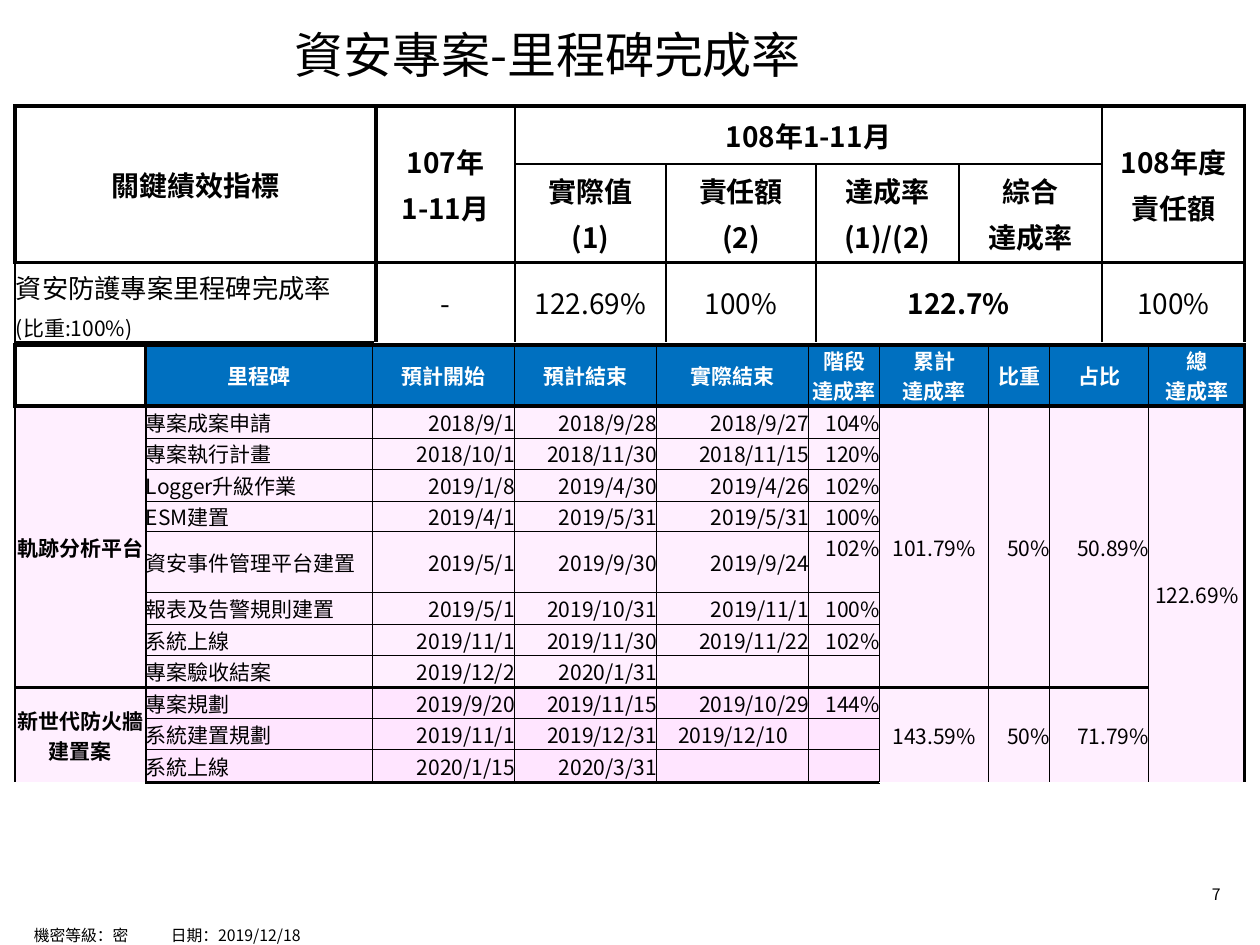
"""Build the security project milestone slide with its KPI and schedule tables."""
from lxml import etree
from pptx import Presentation, util as u
from pptx.dml.color import RGBColor
from pptx.enum import text
from pptx.oxml.ns import qn

PX = 914400 // 126
FONT = "Noto Sans CJK SC"
COLORS = {"ink": "000000", "white": "FFFFFF", "header": "0070C0", "pink": "FFEFFF", "deep": "FFE5FF"}
ALIGN = {"l": text.PP_ALIGN.LEFT, "c": text.PP_ALIGN.CENTER, "r": text.PP_ALIGN.RIGHT}


class SlideBuilder:
    """Hold the type style and the current page."""

    def __init__(self, page):
        self.page = page

    def fill_text(self, frame, lines, size, align="l", bold=False, color="ink", gap=0):
        """Fill a text frame with one paragraph per line."""
        frame.word_wrap = True
        for index, line in enumerate(lines):
            para = frame.add_paragraph() if index else frame.paragraphs[0]
            para.alignment = ALIGN[align]
            if index and gap:
                para.space_before = u.Pt(gap)
            if line:
                span = para.add_run()
                span.text = line
                span.font.size = u.Pt(size)
                span.font.bold = bold
                span.font.color.rgb = RGBColor.from_string(COLORS[color])
                span.font.name = FONT
                etree.SubElement(span._r.get_or_add_rPr(), qn("a:ea"), typeface=FONT)
            etree.SubElement(para._p, qn("a:endParaRPr"), sz=str(size * 100))

    def title(self, line, left, top, width, height):
        """Place and format the title placeholder."""
        box = self.page.shapes.title
        box.left, box.top, box.width, box.height = (n * PX for n in (left, top, width, height))
        box.text_frame.vertical_anchor = text.MSO_ANCHOR.MIDDLE
        self.fill_text(box.text_frame, [line], 28)

    def label(self, line, left, top, width, height, align="l", inset=13):
        """Add a small text box and return its paragraph."""
        box = self.page.shapes.add_textbox(*(n * PX for n in (left, top, width, height)))
        box.text_frame.margin_left = inset * PX
        self.fill_text(box.text_frame, [line], 9, align)
        return box.text_frame.paragraphs[0]

    def table(self, left, top, columns, rows):
        """Add an unstyled table with the given column widths and row heights."""
        table = self.page.shapes.add_table(
            len(rows), len(columns), left * PX, top * PX, sum(columns) * PX, sum(rows) * PX).table
        table.first_row = table.horz_banding = False
        for column, width in zip(table.columns, columns):
            column.width = width * PX
        for row, height in zip(table.rows, rows):
            row.height = height * PX
        return table

    def border(self, cell, side, width):
        """Draw one side of a cell, or hide it when the width is zero."""
        line = etree.SubElement(cell._tc.get_or_add_tcPr(), qn("a:ln" + side), w=str(int(width * 12700)))
        if width:
            paint = etree.SubElement(line, qn("a:solidFill"))
            etree.SubElement(paint, qn("a:srgbClr"), val=COLORS["ink"])
        else:
            etree.SubElement(line, qn("a:noFill"))

    def cell(self, table, row, column, lines, rules, span=(1, 1), fill=None, inset=(0, 0, 0, 0),
             size=12, **style):
        """Fill a cell, merging its span and ruling its outer edges."""
        across, down = rules
        bottom, right = row + span[0], column + span[1]
        if span != (1, 1):
            table.cell(row, column).merge(table.cell(bottom - 1, right - 1))
        for y in range(row, bottom):
            for x in range(column, right):
                part = table.cell(y, x)
                part.margin_left, part.margin_top, part.margin_right, part.margin_bottom = (
                    n * PX for n in inset)
                part.vertical_anchor = text.MSO_ANCHOR.MIDDLE
                edges = (("L", x == column, down[x]), ("R", x == right - 1, down[x + 1]),
                         ("T", y == row, across[y]), ("B", y == bottom - 1, across[y + 1]))
                for side, outer, width in edges:
                    if outer:
                        self.border(part, side, width)
                if fill:
                    part.fill.solid()
                    part.fill.fore_color.rgb = RGBColor.from_string(COLORS[fill])
                else:
                    part.fill.background()
                first = (y, x) == (row, column)
                self.fill_text(part.text_frame, lines if first else [""], size, **style)


def add_kpi_table(builder):
    """Add the yearly indicator table."""
    table = builder.table(15, 106, [361, 139, 151, 150, 143, 143, 143], [58, 87, 49, 30])
    across = [2.25, 1, 2.25, 0, 2.25]
    head_rules = across, [2.25, 2.25, 1, 1, 1, 1, 1, 2.25]
    body_rules = across, [1, 2.25, 1, 1, 1, 1, 1, 2.25]
    headings = [
        (0, 0, ["關鍵績效指標"], (2, 1)), (0, 1, ["107年", "1-11月"], (2, 1)),
        (0, 2, ["108年1-11月"], (1, 4)), (0, 6, ["108年度", "責任額"], (2, 1)),
        (1, 2, ["實際值", "(1)"], (1, 1)), (1, 3, ["責任額", "(2)"], (1, 1)),
        (1, 4, ["達成率", "(1)/(2)"], (1, 1)), (1, 5, ["綜合", "達成率"], (1, 1)),
    ]
    for row, column, lines, span in headings:
        builder.cell(table, row, column, lines, head_rules, span, inset=(13, 6, 13, 6),
                     size=16, align="c", bold=True, gap=3.2)
    for row, line, size in ((2, "資安防護專案里程碑完成率", 15), (3, "(比重:100%)", 12)):
        builder.cell(table, row, 0, [line], body_rules, inset=(1, 1, 1, 0), size=size)
    values = [(1, "-", 1), (2, "122.69%", 1), (3, "100%", 1), (4, "122.7%", 2), (6, "100%", 1)]
    for column, value, width in values:
        builder.cell(table, 2, column, [value], body_rules, (2, width),
                     size=16, align="c", bold=width == 2)


def add_milestone_table(builder):
    """Add the milestone schedule table."""
    table = builder.table(15, 345, [131, 227, 142, 142, 152, 71, 109, 61, 99, 96],
                          [53, 32, 31, 32, 31, 31, 32, 31, 32, 31, 31, 33])
    across = [2, 2] + [0.5] * 7 + [2.25, 0.5, 0.5, 2.25]
    head_rules = across, [2, 2] + [0.5] * 8 + [2]
    body_rules = across, [1, 1] + [0.5] * 8 + [2]
    headings = ["", "里程碑", "預計開始", "預計結束", "實際結束", "階段\n達成率",
                "累計\n達成率", "比重", "占比", "總\n達成率"]
    for column, heading in enumerate(headings):
        builder.cell(table, 0, column, heading.split("\n"), head_rules, align="c", bold=True,
                     color="white", fill="header" if heading else "white")
    milestones = [
        ("專案成案申請", "2018/9/1", "2018/9/28", "2018/9/27", "104%"),
        ("專案執行計畫", "2018/10/1", "2018/11/30", "2018/11/15", "120%"),
        ("Logger升級作業", "2019/1/8", "2019/4/30", "2019/4/26", "102%"),
        ("ESM建置", "2019/4/1", "2019/5/31", "2019/5/31", "100%"),
        ("資安事件管理平台建置", "2019/5/1", "2019/9/30", "　2019/9/24", "102%　"),
        ("報表及告警規則建置", "2019/5/1", "2019/10/31", "　2019/11/1", "100%"),
        ("系統上線", "2019/11/1", "2019/11/30", "　2019/11/22", "102%"),
        ("專案驗收結案", "2019/12/2", "2020/1/31", "", ""),
        ("專案規劃", "2019/9/20", "2019/11/15", "　2019/10/29", "144%"),
        ("系統建置規劃", "2019/11/1", "2019/12/31", "2019/12/10　", ""),
        ("系統上線", "2020/1/15", "2020/3/31", "", ""),
    ]
    for row, milestone in enumerate(milestones, 1):
        for column, value in enumerate(milestone, 1):
            builder.cell(table, row, column, [value], body_rules, fill="pink" if row < 9 else "deep",
                         align="l" if column == 1 else "r")
    projects = [(1, 8, "軌跡分析平台", "101.79%", "50%", "50.89%"),
                (9, 3, "新世代防火牆建置案", "143.59%", "50%", "71.79%")]
    for row, height, name, *rates in projects:
        builder.cell(table, row, 0, [name], body_rules, (height, 1), "pink", align="c", bold=True)
        for column, rate in enumerate(rates, 6):
            builder.cell(table, row, column, [rate], body_rules, (height, 1), "pink",
                         align="c" if column == 6 else "r")
    builder.cell(table, 1, 9, ["122.69%"], body_rules, (11, 1), "pink", align="c")


def main():
    """Assemble and save the deck."""
    deck = Presentation()
    deck.slide_width, deck.slide_height = 1260 * PX, 945 * PX
    builder = SlideBuilder(deck.slides.add_slide(deck.slide_layouts[5]))
    builder.title("資安專案-里程碑完成率", 282, 16, 932, 75)
    add_kpi_table(builder)
    add_milestone_table(builder)
    builder.label("7", 1147, 879, 86, 32, align="r")
    footer = builder.label("機密等級：密\t日期：2019/12/18", 34, 910, 935, 39, inset=0)
    footer.line_spacing = 1.5
    tabs = etree.SubElement(footer._p.get_or_add_pPr(), qn("a:tabLst"))
    etree.SubElement(tabs, qn("a:tab"), pos=str(137 * PX), algn="l")
    deck.save("out.pptx")


if __name__ == "__main__":
    main()
